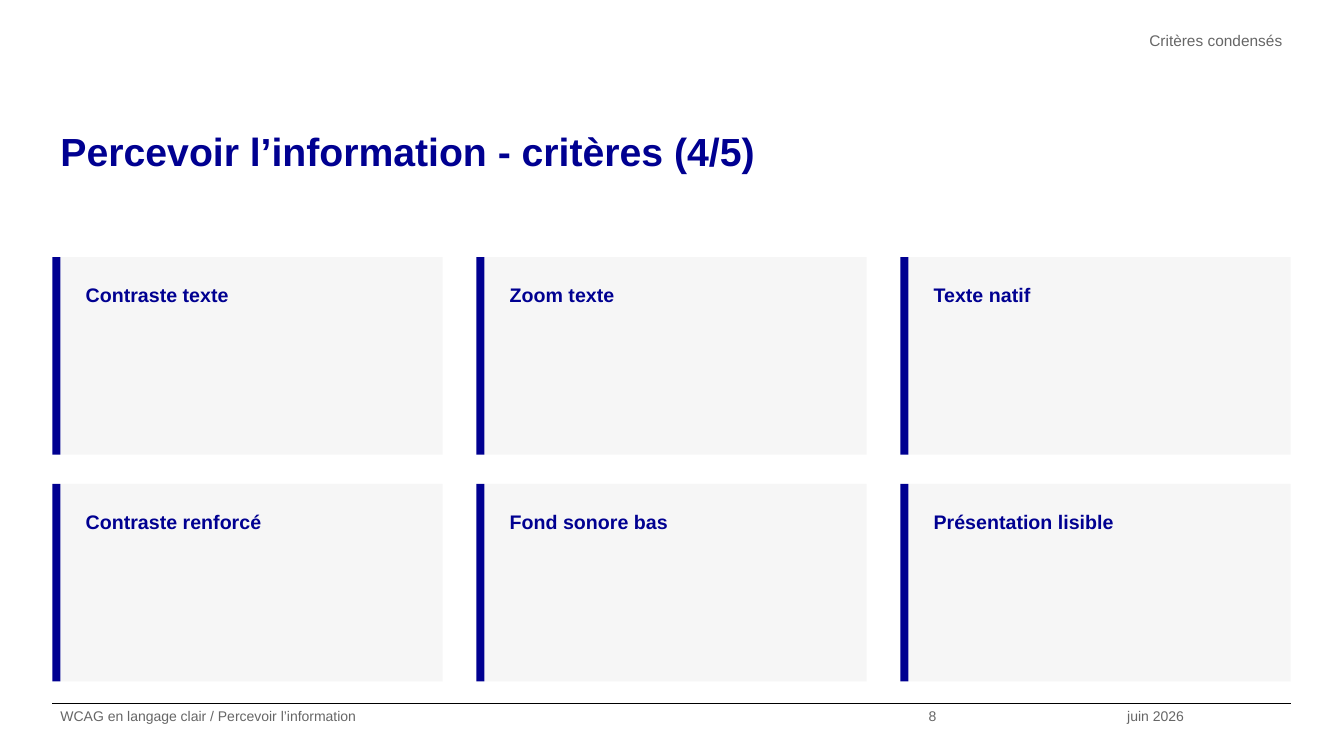
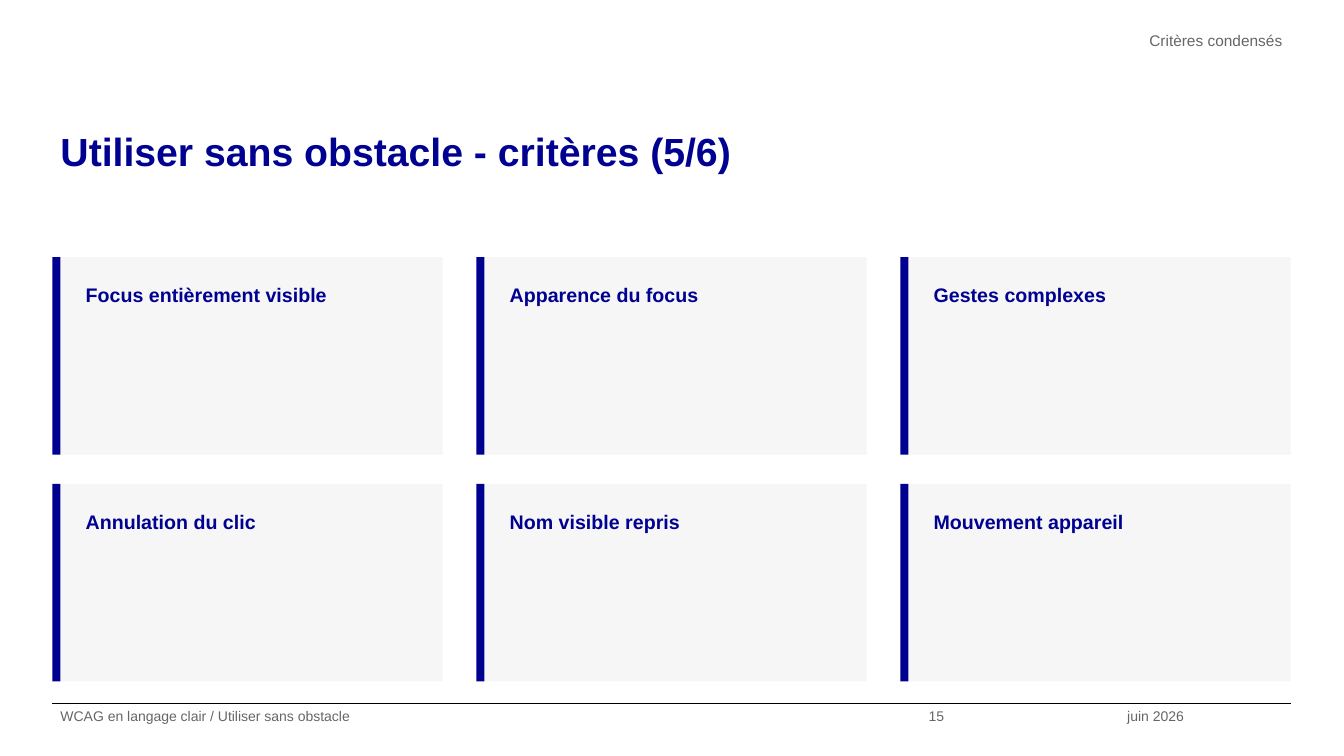
from dataclasses import dataclass

from lxml.etree import SubElement
from pptx import Presentation
from pptx.dml.color import RGBColor
from pptx.enum.shapes import MSO_CONNECTOR as Connector, MSO_SHAPE as Shape
from pptx.enum.text import MSO_ANCHOR as Anchor, MSO_AUTO_SIZE as AutoSize, PP_ALIGN as Align
from pptx.oxml.ns import qn
from pptx.util import Inches, Pt


@dataclass(frozen=True)
class Theme:
    font: str = "Arial"
    accent: str = "000091"
    muted: str = "666666"
    card: str = "F6F6F6"
    rule: str = "000000"
    title_size: int = 28
    label_size: int = 14
    header_size: int = 11
    footer_size: int = 10
    line_spacing: float = 1.25


@dataclass(frozen=True)
class Grid:
    left: float = 0.52
    top: float = 2.55
    width: float = 12.28
    columns: int = 3
    card_width: float = 3.87
    card_height: float = 1.96
    row_gap: float = 0.29

    @property
    def right(self):
        return self.left + self.width

    def cell(self, index):
        row, column = divmod(index, self.columns)
        column_step = (self.width - self.card_width) / (self.columns - 1)
        row_step = self.card_height + self.row_gap
        return self.left + column * column_step, self.top + row * row_step


THEME = Theme()
GRID = Grid()
SLIDE_WIDTH, SLIDE_HEIGHT = 13.33, 7.5
FOOTER_TOP = 6.98
BAR_WIDTH = 0.08
LABEL_INDENT = 0.25
LABEL_DROP = 0.15

SECTION = "Critères condensés"
DATE = "juin 2026"
DECK = "WCAG en langage clair"
PAGES = [
    ("Percevoir l’information", "4/5", 8,
     ["Contraste texte", "Zoom texte", "Texte natif",
      "Contraste renforcé", "Fond sonore bas", "Présentation lisible"]),
    ("Utiliser sans obstacle", "5/6", 15,
     ["Focus entièrement visible", "Apparence du focus", "Gestes complexes",
      "Annulation du clic", "Nom visible repris", "Mouvement appareil"]),
]


def box(left, top, width, height):
    return [Inches(length) for length in (left, top, width, height)]


def add_text(slide, words, area, size, color, bold=False, align=Align.LEFT, inset=0, grow=False):
    frame = slide.shapes.add_textbox(*box(*area)).text_frame
    frame.word_wrap = True
    frame.auto_size = AutoSize.SHAPE_TO_FIT_TEXT if grow else AutoSize.NONE
    frame.vertical_anchor = Anchor.TOP
    frame.margin_left = frame.margin_right = Inches(0.08)
    frame.margin_top = frame.margin_bottom = Inches(inset)
    paragraph = frame.paragraphs[0]
    paragraph.text = words
    paragraph.alignment = align
    paragraph.line_spacing = THEME.line_spacing
    font = paragraph.font
    font.name, font.size, font.bold = THEME.font, Pt(size), bold
    font.color.rgb = RGBColor.from_string(color)


def add_block(slide, area, color):
    block = slide.shapes.add_shape(Shape.RECTANGLE, *box(*area))
    block.shadow.inherit = False
    block.fill.solid()
    block.fill.fore_color.rgb = RGBColor.from_string(color)
    block.line.fill.background()


def add_rule(slide):
    ends = box(GRID.left, FOOTER_TOP, GRID.right, FOOTER_TOP)
    rule = slide.shapes.add_connector(Connector.STRAIGHT, *ends)
    rule.line.color.rgb = RGBColor.from_string(THEME.rule)
    rule.line.width = Pt(0.8)
    SubElement(rule._element.spPr, qn("a:effectLst"))


def add_frame(slide, topic, part, number):
    add_rule(slide)
    add_text(slide, f"{topic} - critères ({part})", (GRID.left, 1.15, GRID.width, 1.05),
             THEME.title_size, THEME.accent, bold=True)
    header_width = 7.98
    add_text(slide, SECTION, (GRID.right - header_width, 0.26, header_width, 0.52),
             THEME.header_size, THEME.muted, align=Align.RIGHT)
    left = GRID.left
    for words, width in ((f"{DECK} / {topic}", 8.61), (str(number), 1.97), (DATE, 1.7)):
        add_text(slide, words, (left, FOOTER_TOP, width, SLIDE_HEIGHT - FOOTER_TOP),
                 THEME.footer_size, THEME.muted)
        left += width


def add_card(slide, index, criterion):
    left, top = GRID.cell(index)
    add_block(slide, (left + BAR_WIDTH, top, GRID.card_width - BAR_WIDTH, GRID.card_height),
              THEME.card)
    add_block(slide, (left, top, BAR_WIDTH, GRID.card_height), THEME.accent)
    add_text(slide, criterion, (left + LABEL_INDENT, top + LABEL_DROP, 3.47, 0.45),
             THEME.label_size, THEME.accent, bold=True, inset=0.05, grow=True)


def main():
    deck = Presentation()
    deck.slide_width, deck.slide_height = Inches(SLIDE_WIDTH), Inches(SLIDE_HEIGHT)
    for topic, part, number, criteria in PAGES:
        slide = deck.slides.add_slide(deck.slide_layouts[6])
        add_frame(slide, topic, part, number)
        for index, criterion in enumerate(criteria):
            add_card(slide, index, criterion)
    deck.save("out.pptx")


if __name__ == "__main__":
    main()
